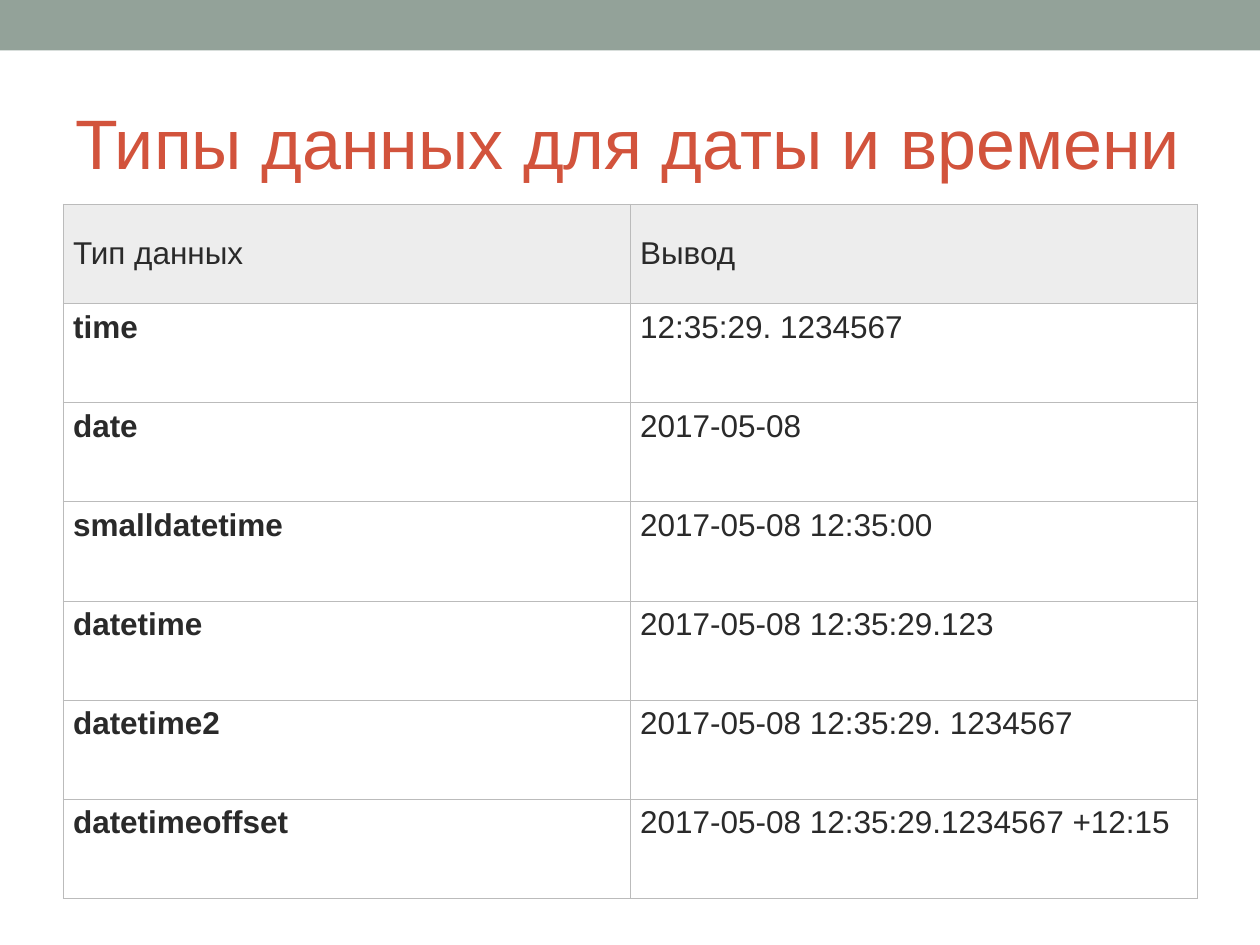
from lxml.etree import SubElement
from pptx import Presentation
from pptx.dml.color import RGBColor
from pptx.enum.shapes import MSO_SHAPE
from pptx.enum.text import MSO_ANCHOR
from pptx.oxml.ns import qn
from pptx.util import Inches, Pt

TITLE = "Типы данных для даты и времени"
ROWS = [
    ("Тип данных", "Вывод"),
    ("time", "12:35:29. 1234567"),
    ("date", "2017-05-08"),
    ("smalldatetime", "2017-05-08 12:35:00"),
    ("datetime", "2017-05-08 12:35:29.123"),
    ("datetime2", "2017-05-08 12:35:29. 1234567"),
    ("datetimeoffset", "2017-05-08 12:35:29.1234567 +12:15"),
]
COLORS = {
    "band": "93A299",
    "title": "D2533C",
    "text": "2A2A2A",
    "header": "EDEDED",
    "body": "FFFFFF",
    "border": "BBBBBB",
}
FONT = "Arial"
LEFT, WIDTH = 0.5, 9
TABLE_TOP, TABLE_HEIGHT = 1.62, 5.51
BORDER_WIDTH = Pt(0.34)


def color(name):
    return RGBColor.from_string(COLORS[name])


def add_run(paragraph, text, size, color_name, bold=False):
    run = paragraph.add_run()
    run.text = text
    run.font.name = FONT
    run.font.size = Pt(size)
    run.font.bold = bold
    run.font.color.rgb = color(color_name)


def set_borders(cell):
    """Draw all four cell edges; the lines must precede the fill in tcPr."""
    properties = cell._tc.get_or_add_tcPr()
    for index, side in enumerate(("lnL", "lnR", "lnT", "lnB")):
        line = SubElement(properties, qn(f"a:{side}"), w=str(int(BORDER_WIDTH)))
        fill = SubElement(line, qn("a:solidFill"))
        SubElement(fill, qn("a:srgbClr"), val=COLORS["border"])
        properties.insert(index, line)


def add_band(slide, slide_width):
    band = slide.shapes.add_shape(MSO_SHAPE.RECTANGLE, 0, 0, slide_width, Inches(0.4))
    band.shadow.inherit = False
    band.fill.solid()
    band.fill.fore_color.rgb = color("band")
    band.line.fill.background()


def add_title(slide):
    box = slide.shapes.add_textbox(Inches(LEFT), Inches(0.58), Inches(WIDTH), Inches(1.08))
    frame = box.text_frame
    frame.word_wrap = True
    frame.vertical_anchor = MSO_ANCHOR.MIDDLE
    add_run(frame.paragraphs[0], TITLE, 40, "title")


def add_types_table(slide):
    table = slide.shapes.add_table(
        len(ROWS), len(ROWS[0]),
        Inches(LEFT), Inches(TABLE_TOP), Inches(WIDTH), Inches(TABLE_HEIGHT),
    ).table
    table.horz_banding = False
    for row_index, texts in enumerate(ROWS):
        is_header = row_index == 0
        for column_index, text in enumerate(texts):
            cell = table.cell(row_index, column_index)
            cell.margin_left = cell.margin_right = Inches(0.08)
            cell.margin_top = cell.margin_bottom = Inches(0.05)
            cell.vertical_anchor = MSO_ANCHOR.MIDDLE if is_header else MSO_ANCHOR.TOP
            cell.fill.solid()
            cell.fill.fore_color.rgb = color("header" if is_header else "body")
            set_borders(cell)
            is_type_name = column_index == 0 and not is_header
            add_run(cell.text_frame.paragraphs[0], text, 18, "text", bold=is_type_name)


def main():
    presentation = Presentation()
    presentation.slide_width = Inches(10)
    presentation.slide_height = Inches(7.5)
    slide = presentation.slides.add_slide(presentation.slide_layouts[6])
    add_band(slide, presentation.slide_width)
    add_title(slide)
    add_types_table(slide)
    presentation.save("out.pptx")


if __name__ == "__main__":
    main()
